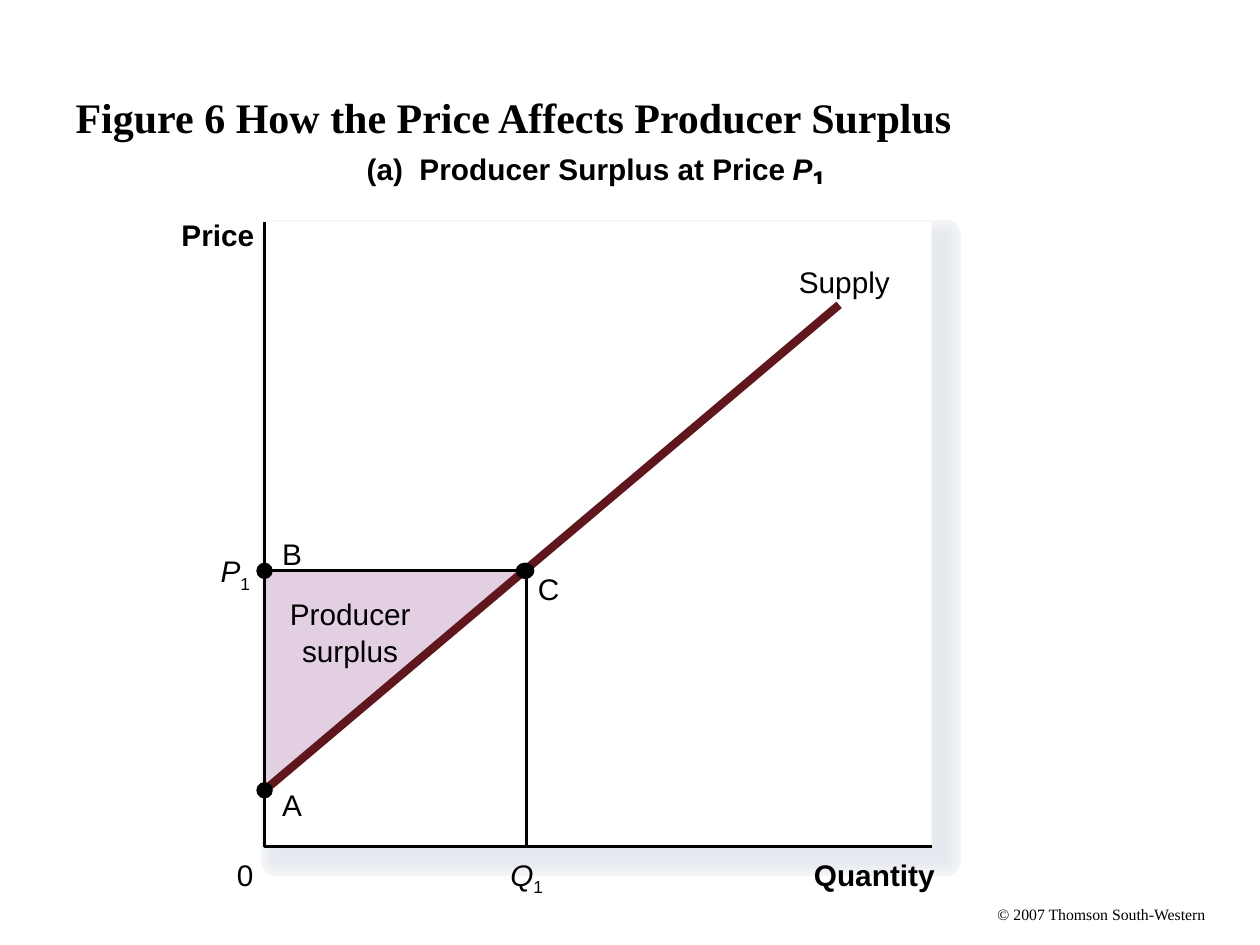
from dataclasses import dataclass

from lxml.etree import SubElement
from pptx import Presentation
from pptx.dml.color import RGBColor
from pptx.enum.shapes import MSO_CONNECTOR, MSO_SHAPE
from pptx.enum.text import MSO_ANCHOR, PP_ALIGN
from pptx.oxml.ns import qn
from pptx.util import Pt


@dataclass(frozen=True)
class Theme:
    heading_font: str = "Times New Roman"
    label_font: str = "Arial"
    title_size: int = 24
    label_size: int = 17
    credit_size: int = 9
    ink: str = "000000"
    paper: str = "FFFFFF"
    surplus: str = "E2CFE1"
    supply: str = "5F161D"
    axis_weight: float = 1.62
    supply_weight: float = 4.75
    halo: tuple = ("F3F6F9", "F2F4F8", "F1F4F7", "F0F2F5", "EEF1F4", "EDEFF3",
                   "EBEEF2", "EAECF1", "E9EBF0", "E7EAEF", "E6E9EF")
    halo_weight: float = 17.5
    halo_step: float = 1.59


class Figure:
    def __init__(self, slide, theme):
        self.slide = slide
        self.theme = theme

    def paint(self, sp, fill=None, line=None, weight=0):
        sp.shadow.inherit = False
        if fill:
            sp.fill.solid()
            sp.fill.fore_color.rgb = RGBColor.from_string(fill)
        else:
            sp.fill.background()
        if line:
            sp.line.color.rgb = RGBColor.from_string(line)
            sp.line.width = Pt(weight)
        else:
            sp.line.fill.background()

    def run(self, p, text, font, size, bold=False, italic=False, sub=False):
        r = p.add_run()
        r.text = text
        r.font.name = font
        r.font.size = Pt(size)
        r.font.bold = bold
        r.font.italic = italic
        r.font.color.rgb = RGBColor.from_string(self.theme.ink)
        if sub:
            r._r.get_or_add_rPr().set("baseline", "-25000")

    def title(self, text, left, top, width, height):
        sp = self.slide.shapes.title
        sp.left, sp.top, sp.width, sp.height = map(Pt, (left, top, width, height))
        tf = sp.text_frame
        tf.vertical_anchor = MSO_ANCHOR.MIDDLE
        p = tf.paragraphs[0]
        p.alignment = PP_ALIGN.LEFT
        self.run(p, text, self.theme.heading_font, self.theme.title_size, bold=True)

    def label(self, text, left, top, width, height=23, sub="", font=None, size=None, **style):
        """Place a one-line label, with an optional upright subscript."""
        font = font or self.theme.label_font
        size = size or self.theme.label_size
        tf = self.slide.shapes.add_textbox(*map(Pt, (left, top, width, height))).text_frame
        tf.word_wrap = True
        tf.margin_left = tf.margin_right = tf.margin_top = tf.margin_bottom = 0
        p = tf.paragraphs[0]
        self.run(p, text, font, size, **style)
        if sub:
            self.run(p, sub, font, size, sub=True)

    def rect(self, left, top, width, height, **look):
        sp = self.slide.shapes.add_shape(
            MSO_SHAPE.RECTANGLE, *map(Pt, (left, top, width, height)))
        self.paint(sp, **look)

    def dot(self, x, y, width=9.4, height=9.4):
        sp = self.slide.shapes.add_shape(
            MSO_SHAPE.OVAL, *map(Pt, (x - width / 2, y - height / 2, width, height)))
        self.paint(sp, fill=self.theme.ink)

    def outline(self, points, close=False, **look):
        start, *rest = [(Pt(x), Pt(y)) for x, y in points]
        builder = self.slide.shapes.build_freeform(*start)
        builder.add_line_segments(rest, close=close)
        self.paint(builder.convert_to_shape(), **look)

    def line(self, start, end, color, weight):
        c = self.slide.shapes.add_connector(
            MSO_CONNECTOR.STRAIGHT, *map(Pt, (*start, *end)))
        c.line.color.rgb = RGBColor.from_string(color)
        c.line.width = Pt(weight)
        SubElement(c._element.spPr, qn("a:effectLst"))


def main():
    theme = Theme()
    prs = Presentation()
    prs.slide_width, prs.slide_height = Pt(720), Pt(540)
    fig = Figure(prs.slides.add_slide(prs.slide_layouts[5]), theme)

    left, top, right, bottom = 151.2, 126.7, 532.4, 483.8
    price, quantity = 326.2, 301
    origin = (left, bottom)
    a, b, c = (left, 451.6), (left, price), (quantity, price)
    axis = {"line": theme.ink, "weight": theme.axis_weight}

    fig.label("© 2007 Thomson South-Western", 570, 517, 121, 11,
              font=theme.heading_font, size=theme.credit_size)
    fig.title("Figure 6 How the Price Affects Producer Surplus", 36, 21.6, 648, 90)

    for i, color in enumerate(theme.halo):
        fig.rect(157.7, 134.6, 383, 357.1, fill=color, line=color,
                 weight=theme.halo_weight - i * theme.halo_step)
    fig.rect(left, top, right - left, bottom - top, fill=theme.paper)

    fig.outline([c, b, a], close=True, fill=theme.surplus)
    fig.label("Producer", 165.6, 340.6, 75.6)
    fig.label("surplus", 172.6, 361.6, 62)
    fig.outline([(left, top), origin, (right, bottom)], **axis)

    fig.label("Quantity", 465.1, 489.6, 76.3, bold=True)
    fig.label("(a)  Producer Surplus at Price", 209.5, 86.4, 252, bold=True)
    fig.label("P", 452.9, 86.4, 19.4, bold=True, italic=True)
    fig.outline([(469.4, 97.9), (468, 97.9), (466.6, 98.6), (465.1, 99.4),
                 (465.1, 100.8), (467.3, 100.1), (467.3, 105.1), (469.4, 105.1)],
                close=True, fill=theme.ink)
    fig.label("Price", 103.7, 123.8, 49.7, bold=True)
    fig.label("0", 135.4, 489.6, 17.3)

    fig.line(a, (479.5, 174.2), theme.supply, theme.supply_weight)
    fig.label("Supply", 456.5, 150.5, 57.6)

    fig.dot(*b)
    fig.label("B", 161.3, 306, 18.7)
    fig.dot(*a)
    fig.label("A", 161.3, 449.3, 18.7)
    fig.dot(300, price, width=10.8)
    fig.label("C", 307.4, 326.2, 19.4)

    fig.outline([b, c, (quantity, bottom)], **axis)
    fig.label("Q", 291.6, 489.6, 20, 20, sub="1", italic=True)
    fig.label("P", 126, 316.1, 18, 20, sub="1", italic=True)

    prs.save("out.pptx")


if __name__ == "__main__":
    main()
